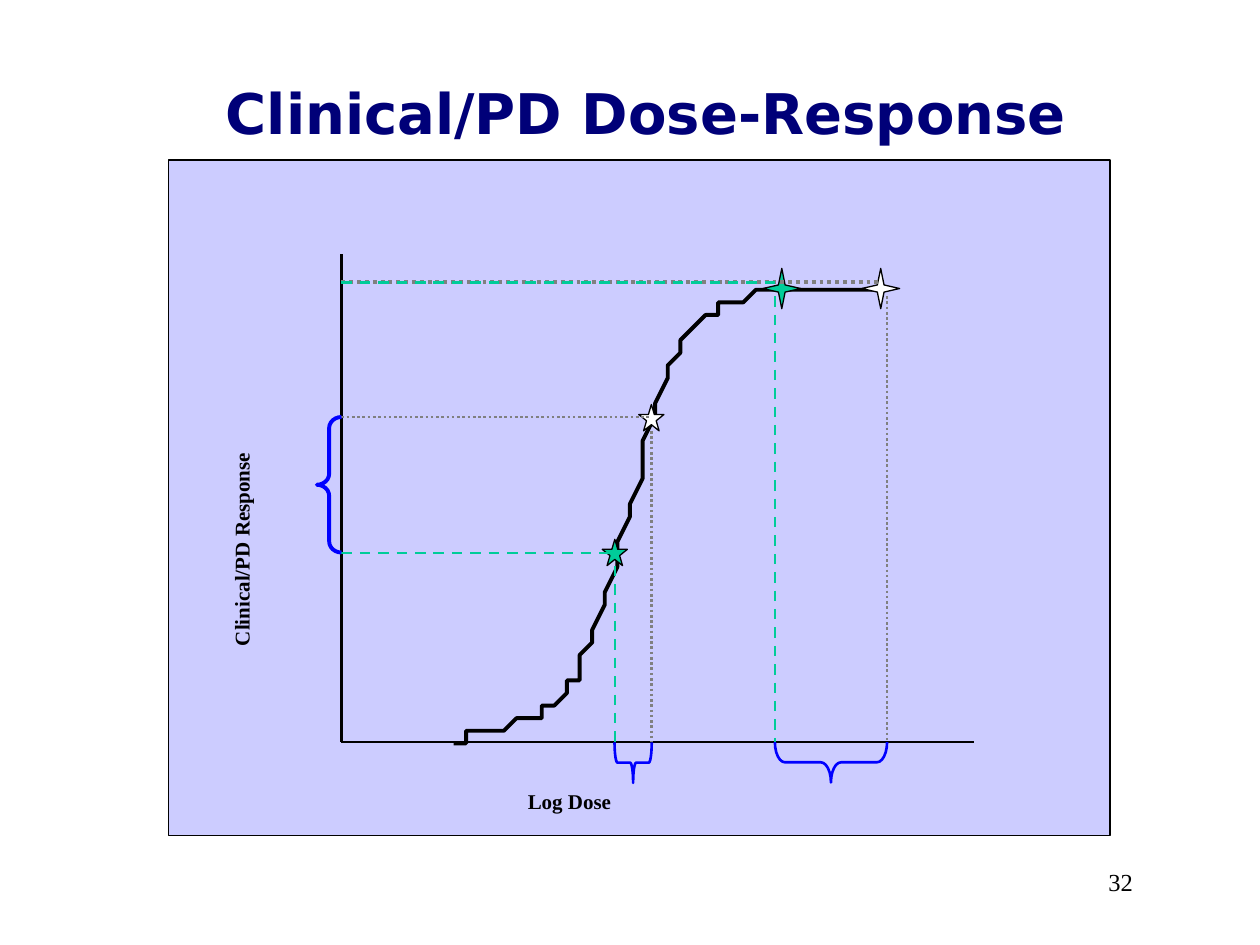
from dataclasses import dataclass

from lxml.etree import SubElement
from pptx import Presentation
from pptx.dml.color import RGBColor
from pptx.enum.dml import MSO_LINE_DASH_STYLE as Dash
from pptx.enum.shapes import MSO_CONNECTOR, MSO_SHAPE as Preset
from pptx.enum.text import MSO_ANCHOR as Anchor, MSO_AUTO_SIZE as AutoSize, PP_ALIGN as Align
from pptx.oxml.ns import qn
from pptx.util import Inches, Pt

CELL = Inches(0.1)
COLUMNS, ROWS = 100, 75
COLORS = {
    "title": "000078", "panel": "CCCCFF", "ink": "000000", "green": "00CC99",
    "grey": "808080", "white": "FFFFFF", "brace": "0000FF",
}
AXIS_LEFT, AXIS_TOP, AXIS_RIGHT, AXIS_BOTTOM = 27.1, 20.2, 77.3, 58.9
PLATEAU = 22.4
CURVE_STEPS = 16
CURVE_START = (70, 22.6)
CURVE = [
    ((68.3, 22.8), (62.6, 22.3), (59.7, 23.4)),
    ((56.9, 24.6), (55.4, 24.3), (53.1, 29.3)),
    ((50.8, 34.3), (48.6, 48.6), (45.8, 53.5)),
    ((43, 58.4), (37.3, 57.8), (36, 58.9)),
]


@dataclass
class Line:
    start: tuple[float, float]
    end: tuple[float, float]
    color: str = "ink"
    width: float = 1.5
    dash: Dash | None = None


@dataclass
class Star:
    preset: Preset
    column: float
    row: float
    width: float
    height: float
    color: str


@dataclass
class Brace:
    column: float
    row: float
    width: float
    height: float
    curl: float
    line_width: float
    rotation: int = 0


@dataclass
class Label:
    text: str
    box: tuple[float, float, float, float]
    size: int
    font: str = "Times New Roman"
    color: str = "ink"
    bold: bool = True
    align: Align = Align.LEFT
    anchor: Anchor = Anchor.TOP
    rotation: int = 0
    grows: bool = False


def color_of(name: str) -> RGBColor:
    return RGBColor.from_string(COLORS[name])


def cells(*counts: float) -> list[int]:
    return [round(count * CELL) for count in counts]


def style(shape, fill: str | None, line: str, width: float) -> None:
    shape.shadow.inherit = False
    if fill:
        shape.fill.solid()
        shape.fill.fore_color.rgb = color_of(fill)
    else:
        shape.fill.background()
    shape.line.color.rgb = color_of(line)
    shape.line.width = Pt(width)


def draw_line(slide, line: Line) -> None:
    connector = slide.shapes.add_connector(MSO_CONNECTOR.STRAIGHT, *cells(*line.start, *line.end))
    connector.line.color.rgb = color_of(line.color)
    connector.line.width = Pt(line.width)
    if line.dash:
        connector.line.dash_style = line.dash
    SubElement(connector._element.spPr, qn("a:effectLst"))


def draw_star(slide, star: Star) -> None:
    left, top = star.column - star.width / 2, star.row - star.height / 2
    shape = slide.shapes.add_shape(star.preset, *cells(left, top, star.width, star.height))
    if star.preset == Preset.STAR_4_POINT:
        shape.adjustments[0] = 0.125
    style(shape, star.color, "ink", 0.75)


def draw_brace(slide, brace: Brace) -> None:
    box = cells(brace.column, brace.row, brace.width, brace.height)
    shape = slide.shapes.add_shape(Preset.LEFT_BRACE, *box)
    shape.adjustments[0] = brace.curl
    shape.rotation = brace.rotation
    style(shape, None, "brace", brace.line_width)


def draw_label(slide, label: Label) -> None:
    box = slide.shapes.add_textbox(*cells(*label.box))
    box.rotation = label.rotation
    frame = box.text_frame
    frame.word_wrap = True
    frame.vertical_anchor = label.anchor
    frame.auto_size = AutoSize.SHAPE_TO_FIT_TEXT if label.grows else AutoSize.NONE
    paragraph = frame.paragraphs[0]
    paragraph.text = label.text
    paragraph.alignment = label.align
    paragraph.font.name = label.font
    paragraph.font.size = Pt(label.size)
    paragraph.font.bold = label.bold
    paragraph.font.color.rgb = color_of(label.color)


def curve_points() -> list[tuple[float, float]]:
    points, start = [], CURVE_START
    for first, second, end in CURVE:
        for step in range(1, CURVE_STEPS + 1):
            t = step / CURVE_STEPS
            weights = ((1 - t) ** 3, 3 * t * (1 - t) ** 2, 3 * t * t * (1 - t), t ** 3)
            knots = (start, first, second, end)
            points.append(tuple(sum(w * knot[axis] for w, knot in zip(weights, knots)) for axis in (0, 1)))
        start = end
    return points


def draw_curve(slide) -> None:
    builder = slide.shapes.build_freeform(*CURVE_START, scale=CELL)
    builder.add_line_segments(curve_points(), close=False)
    style(builder.convert_to_shape(), None, "ink", 2.25)


AXES = [
    Line((AXIS_LEFT, AXIS_TOP), (AXIS_LEFT, AXIS_BOTTOM)),
    Line((AXIS_LEFT, AXIS_BOTTOM), (AXIS_RIGHT, AXIS_BOTTOM)),
]
STARS = [
    Star(Preset.STAR_4_POINT, 62.05, 22.9, 3, 3.2, "green"),
    Star(Preset.STAR_4_POINT, 69.9, 22.9, 3, 3.2, "white"),
    Star(Preset.STAR_5_POINT, 51.7, 33.15, 2, 2.1, "white"),
    Star(Preset.STAR_5_POINT, 48.8, 43.85, 2, 2.1, "green"),
]
GREEN = ("green", 1.5, Dash.DASH)
GREY = ("grey", 1.5, Dash.ROUND_DOT)
DROPS = [(61.5, 23.5, GREEN), (70.4, 23.5, GREY), (48.8, 44.9, GREEN), (51.7, 34.2, GREY)]
LEVELS = [
    (70, PLATEAU, ("grey", 2.25, Dash.ROUND_DOT)),
    (51.7, 33.1, GREY),
    (61.5, PLATEAU, GREEN),
    (48.8, 43.9, GREEN),
]
GUIDES = [Line((column, row), (column, AXIS_BOTTOM), *look) for column, row, look in DROPS]
GUIDES += [Line((AXIS_LEFT, row), (column, row), *look) for column, row, look in LEVELS]
BRACES = [
    Brace(25.15, 33.1, 1.95, 10.75, 0.45, 2.25),
    Brace(48.65, 59.05, 3.2, 2.95, 0.08, 1.5, 270),
    Brace(64.35, 56.05, 3.2, 8.9, 0.25, 1.5, 270),
]
LABELS = [
    Label("Clinical/PD Dose-Response", (8.8, 4, 85, 9.8), 32, "DejaVu Sans", "title",
          align=Align.CENTER, anchor=Anchor.MIDDLE),
    Label("Clinical/PD Response", (2, 33.6, 34.3, 3), 12, rotation=270, grows=True),
    Label("Log Dose", (40.9, 62.1, 29.5, 3), 12, grows=True),
    Label("32", (79.2, 68.3, 11.7, 5), 14, bold=False, align=Align.RIGHT),
]


def main() -> None:
    presentation = Presentation()
    presentation.slide_width, presentation.slide_height = cells(COLUMNS, ROWS)
    slide = presentation.slides.add_slide(presentation.slide_layouts[6])
    panel = slide.shapes.add_shape(Preset.RECTANGLE, *cells(13.4, 12.7, 74.7, 53.6))
    style(panel, "panel", "ink", 0.75)
    for axis in AXES:
        draw_line(slide, axis)
    draw_curve(slide)
    for star in STARS:
        draw_star(slide, star)
    for guide in GUIDES:
        draw_line(slide, guide)
    for brace in BRACES:
        draw_brace(slide, brace)
    for label in LABELS:
        draw_label(slide, label)
    presentation.save("out.pptx")


if __name__ == "__main__":
    main()
